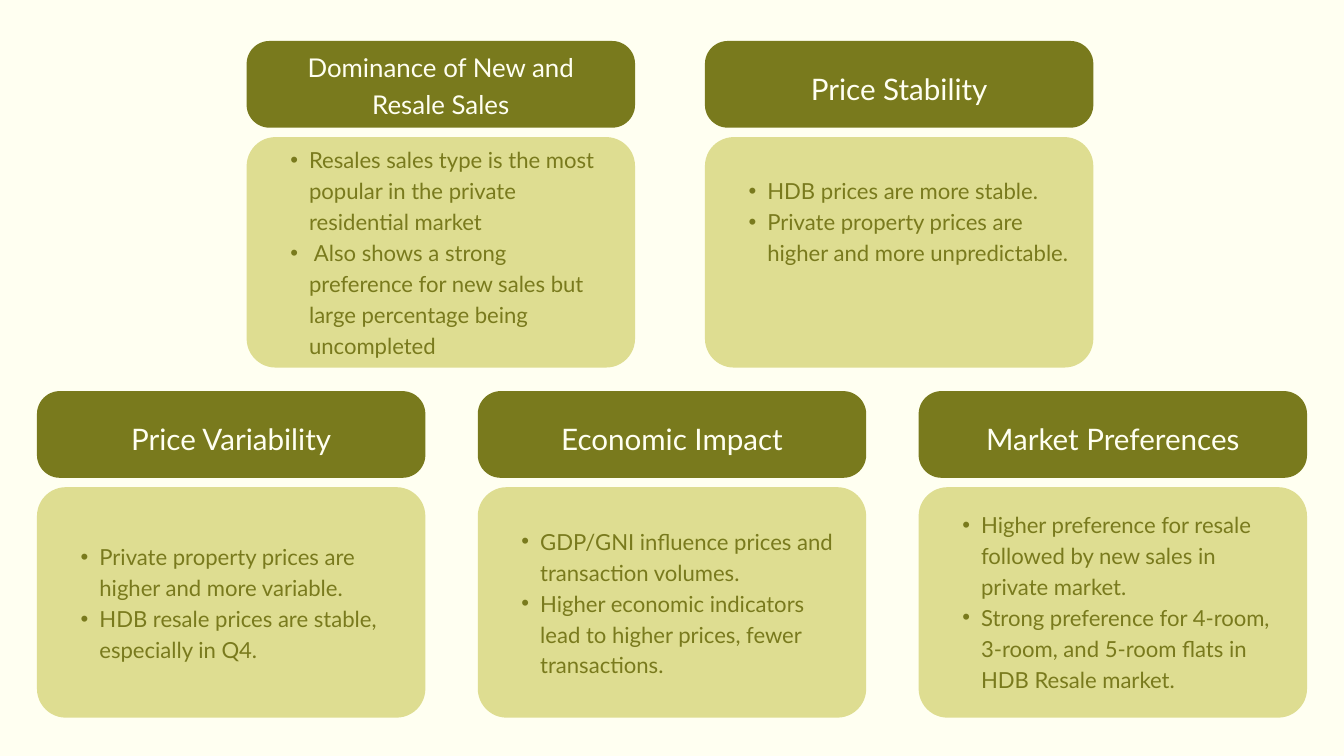
from dataclasses import dataclass

from lxml.etree import SubElement
from pptx import Presentation
from pptx.dml.color import RGBColor
from pptx.enum.shapes import MSO_SHAPE as Shape
from pptx.enum.text import MSO_ANCHOR as Anchor, PP_ALIGN as Align
from pptx.oxml.ns import qn
from pptx.util import Inches, Pt

IVORY = RGBColor(0xFF, 0xFF, 0xF1)
OLIVE = RGBColor(0x79, 0x7A, 0x1D)
PALE_OLIVE = RGBColor(0xDE, 0xDD, 0x91)

CARD_WIDTH = 5.78
HEADER_HEIGHT, PANEL_HEIGHT = 1.29, 3.43
PANEL_OFFSET = 1.43
INSET = 0.37
TOP_ROW, BOTTOM_ROW = 0.61, 5.82
TOP_LEFT, TOP_PITCH = 3.67, 6.82
BOTTOM_LEFT, BOTTOM_PITCH = 0.55, 6.56
BODY_LINE = 0.456


@dataclass
class Card:
    title: str
    points: list
    body_offset: float  # from the top of the card to the first line
    body_lines: int
    title_inset: float = INSET
    title_offset: float = 0.36
    title_height: float = 0.58
    title_size: float = 31.7
    title_spacing: float = 44.3


TOP_CARDS = [
    Card(
        "Dominance of New and Resale Sales",
        [
            "Resales sales type is the most popular in the private residential market",
            " Also shows a strong preference for new sales but large percentage being uncompleted",
        ],
        1.5, 7,
        title_offset=0.09, title_height=1.05, title_size=27.7, title_spacing=38.7,
    ),
    Card(
        "Price Stability",
        [
            "HDB prices are more stable.",
            "Private property prices are higher and more unpredictable.",
        ],
        1.97, 5, title_inset=0,
    ),
]
BOTTOM_CARDS = [
    Card(
        "Price Variability",
        [
            "Private property prices are higher and more variable.",
            "HDB resale prices are stable, especially in Q4.",
        ],
        2.2, 4,
    ),
    Card(
        "Economic Impact",
        [
            "GDP/GNI influence prices and transaction volumes.",
            "Higher economic indicators lead to higher prices, fewer transactions.",
        ],
        1.97, 5, title_inset=0,
    ),
    Card(
        "Market Preferences",
        [
            "Higher preference for resale followed by new sales in private market.",
            "Strong preference for 4-room, 3-room, and 5-room flats in HDB Resale market.",
        ],
        1.72, 6,
    ),
]


class CardSlide:
    font_name = "Lato"
    body_size, body_spacing = 23.7, 33.2

    def __init__(self, presentation):
        self.slide = presentation.slides.add_slide(presentation.slide_layouts[6])
        fill = self.slide.background.fill
        fill.solid()
        fill.fore_color.rgb = IVORY

    def rounded_box(self, left, top, height, radius, color):
        shape = self.slide.shapes.add_shape(
            Shape.ROUNDED_RECTANGLE,
            Inches(left), Inches(top), Inches(CARD_WIDTH), Inches(height),
        )
        shape.adjustments[0] = radius / height
        shape.shadow.inherit = False
        shape.fill.solid()
        shape.fill.fore_color.rgb = color
        shape.line.fill.background()

    def text(self, left, top, width, height, lines, size, spacing, color):
        """Add a text box without margins and return its paragraphs."""
        box = self.slide.shapes.add_textbox(
            Inches(left), Inches(top), Inches(width), Inches(height)
        )
        frame = box.text_frame
        frame.word_wrap = True
        frame.vertical_anchor = Anchor.TOP
        frame.margin_left = frame.margin_right = 0
        frame.margin_top = frame.margin_bottom = 0
        frame.text = "\n".join(lines)
        for paragraph in frame.paragraphs:
            paragraph.line_spacing = Pt(spacing)
            paragraph.font.name = self.font_name
            paragraph.font.size = Pt(size)
            paragraph.font.color.rgb = color
        return frame.paragraphs

    def title(self, left, top, card):
        (paragraph,) = self.text(
            left + card.title_inset, top + card.title_offset,
            CARD_WIDTH - 2 * card.title_inset, card.title_height,
            [card.title], card.title_size, card.title_spacing, IVORY,
        )
        paragraph.alignment = Align.CENTER

    def bullets(self, left, top, card):
        paragraphs = self.text(
            left + INSET, top + card.body_offset,
            CARD_WIDTH - 2 * INSET, card.body_lines * BODY_LINE,
            card.points, self.body_size, self.body_spacing, OLIVE,
        )
        for paragraph in paragraphs:
            paragraph.level = 1
            properties = paragraph._p.get_or_add_pPr()
            properties.set("marL", str(Inches(0.56)))
            properties.set("indent", str(Inches(-0.28)))
            bullet_font = SubElement(properties, qn("a:buFont"), typeface="Arial")
            bullet = SubElement(properties, qn("a:buChar"), char="•")
            # The schema wants the bullet before the default run properties.
            defaults = properties.find(qn("a:defRPr"))
            defaults.addprevious(bullet_font)
            defaults.addprevious(bullet)

    def card(self, left, top, card):
        self.rounded_box(left, top + PANEL_OFFSET, PANEL_HEIGHT, 0.43, PALE_OLIVE)
        self.rounded_box(left, top, HEADER_HEIGHT, 0.34, OLIVE)
        self.bullets(left, top, card)
        self.title(left, top, card)

    def row(self, left, top, pitch, cards):
        for column, card in enumerate(cards):
            self.card(left + column * pitch, top, card)


def main():
    presentation = Presentation()
    presentation.slide_width = Inches(20)
    presentation.slide_height = Inches(11.25)
    slide = CardSlide(presentation)
    slide.row(TOP_LEFT, TOP_ROW, TOP_PITCH, TOP_CARDS)
    slide.row(BOTTOM_LEFT, BOTTOM_ROW, BOTTOM_PITCH, BOTTOM_CARDS)
    presentation.save("out.pptx")


if __name__ == "__main__":
    main()
